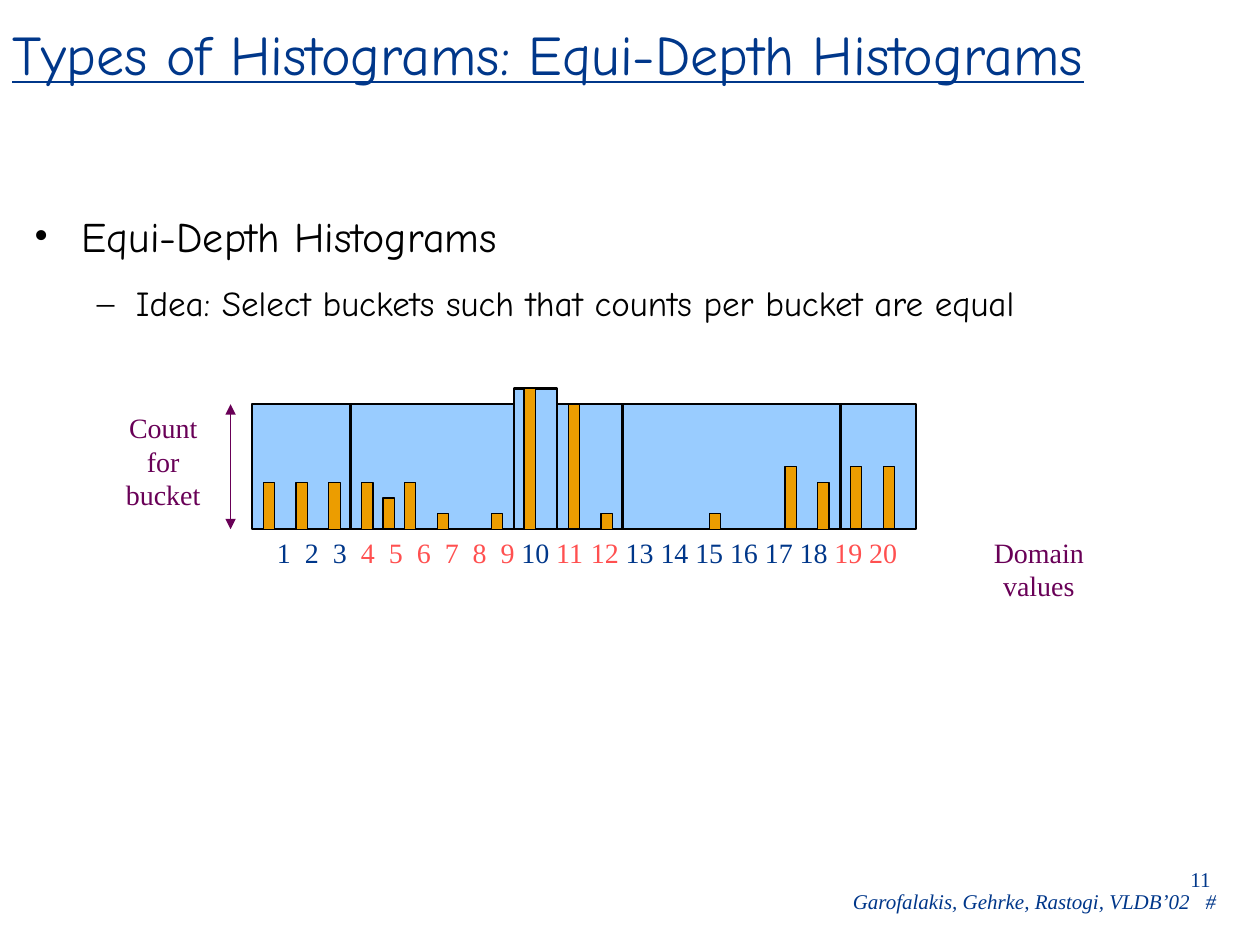
from dataclasses import dataclass

from lxml.etree import SubElement
from pptx import Presentation
from pptx.dml.color import RGBColor
from pptx.enum.shapes import MSO_CONNECTOR, MSO_SHAPE
from pptx.enum.text import MSO_ANCHOR, PP_ALIGN
from pptx.oxml.ns import qn
from pptx.util import Inches, Pt

NAVY, PLUM, CORAL, BLACK = "00378A", "690057", "FF5050", "000000"
SKY, GOLD = "99CCFF", "EC9D00"
SERIF, HAND = "Times New Roman", "Comic Neue"
BASE, UNIT = 4.2, 0.124  # axis height on the slide, height of one count
BAR_WIDTH = 0.09


@dataclass
class Column:
    left: float
    width: float
    count: int


@dataclass
class Style:
    size: float
    color: str
    font: str = SERIF
    italic: bool = False
    underline: bool = False


@dataclass
class Bullet:
    text: str
    mark: str
    margin: float
    hang: float
    before: float
    size: float


EDGES = [2, 2.78, 4.08, 4.42, 4.94, 6.67, 7.27]
DEPTHS = [8, 8, 9, 8, 8, 8]
BUCKETS = [Column(a, b - a, n) for a, b, n in zip(EDGES, EDGES[1:], DEPTHS)]

BARS = [Column(left, BAR_WIDTH, count) for left, count in [
    (2.09, 3), (2.35, 3), (2.61, 3), (2.87, 3), (3.04, 2), (3.21, 3),
    (3.47, 1), (3.9, 1), (4.16, 9), (4.51, 8), (4.77, 1), (5.63, 1),
    (6.23, 4), (6.49, 3), (6.75, 4), (7.01, 4)]]

BULLETS = [
    Bullet("Equi-Depth Histograms", "•", 0.38, 0.38, 0, 24),
    Bullet("Idea: Select buckets such that counts per bucket are equal",
           "–", 0.81, 0.31, 5, 20),
]

# First and last domain value of each colour group on the axis
GROUPS = [(1, 3, NAVY), (4, 9, CORAL), (10, 10, NAVY),
          (11, 12, CORAL), (13, 18, NAVY), (19, 20, CORAL)]


def rgb(code: str) -> RGBColor:
    return RGBColor.from_string(code)


def paint(run, style: Style) -> None:
    font = run.font
    font.name, font.size = style.font, Pt(style.size)
    font.color.rgb = rgb(style.color)
    font.italic, font.underline = style.italic, style.underline


def add_box(slide, left: float, top: float, width: float, height: float):
    box = slide.shapes.add_textbox(
        Inches(left), Inches(top), Inches(width), Inches(height))
    box.text_frame.word_wrap = True
    return box.text_frame


def add_text(slide, place: tuple, text: str, style: Style,
             align=PP_ALIGN.LEFT):
    frame = add_box(slide, *place)
    frame.text = text
    for para in frame.paragraphs:
        para.alignment = align
        for run in para.runs:
            paint(run, style)
    return frame


def add_tabs(para, stops: list[float]) -> None:
    tabs = SubElement(para._p.get_or_add_pPr(), qn("a:tabLst"))
    for stop in stops:
        SubElement(tabs, qn("a:tab"), pos=str(Inches(stop)), algn="l")


def add_column(slide, col: Column, fill: str, line: float) -> None:
    """Stand a rectangle on the axis, as high as its count."""
    height = col.count * UNIT
    shape = slide.shapes.add_shape(
        MSO_SHAPE.RECTANGLE, Inches(col.left), Inches(BASE - height),
        Inches(col.width), Inches(height))
    shape.shadow.inherit = False
    shape.fill.solid()
    shape.fill.fore_color.rgb = rgb(fill)
    shape.line.color.rgb = rgb(BLACK)
    shape.line.width = Pt(line)


def add_arrow(slide, x: float, low: float, high: float) -> None:
    arrow = slide.shapes.add_connector(
        MSO_CONNECTOR.STRAIGHT, Inches(x), Inches(low), Inches(x), Inches(high))
    arrow.line.color.rgb = rgb(PLUM)
    arrow.line.width = Pt(0.75)
    line = arrow.line._get_or_add_ln()
    for end in ("a:headEnd", "a:tailEnd"):
        SubElement(line, qn(end), type="triangle")
    SubElement(arrow._element.spPr, qn("a:effectLst"))


def add_bullets(slide) -> None:
    frame = add_box(slide, 0.17, 1.5, 9.5, 1.3)
    for i, item in enumerate(BULLETS):
        para = frame.add_paragraph() if i else frame.paragraphs[0]
        para.text = item.text
        para.level = i
        props = para._p.get_or_add_pPr()
        props.set("marL", str(Inches(item.margin)))
        props.set("indent", str(-Inches(item.hang)))
        tint = SubElement(props, qn("a:buClr"))
        SubElement(tint, qn("a:srgbClr"), val=BLACK)
        SubElement(props, qn("a:buFont"), typeface=SERIF)
        SubElement(props, qn("a:buChar"), char=item.mark)
        para.line_spacing = 1.3
        para.space_before = Pt(item.before)
        paint(para.runs[0], Style(item.size, BLACK, HAND))


def add_axis(slide) -> None:
    """Write the domain values, each at its own tab stop."""
    para = add_box(slide, 2.1, BASE, 5.13, 0.37).paragraphs[0]
    add_tabs(para, [0.222 * n for n in range(1, 9)]
             + [1.94 + 0.276 * n for n in range(11)])
    for first, last, color in GROUPS:
        run = para.add_run()
        values = "\t".join(str(n) for n in range(first, last + 1))
        run.text = values if first == 1 else "\t" + values
        paint(run, Style(16, color))


def main() -> None:
    deck = Presentation()
    deck.slide_width, deck.slide_height = Inches(10), Inches(7.5)
    slide = deck.slides.add_slide(deck.slide_layouts[6])

    add_text(slide, (9.35, 6.83, 0.6, 0.3), "11", Style(12, NAVY))
    credit = add_text(slide, (6.67, 7, 3.09, 0.3),
                      "Garofalakis, Gehrke, Rastogi, VLDB’02\t#",
                      Style(12, NAVY, italic=True))
    add_tabs(credit.paragraphs[0], [2.8])

    title = add_text(slide, (0, 0, 9.83, 0.92),
                     "Types of Histograms: Equi-Depth Histograms",
                     Style(32, NAVY, HAND, underline=True))
    title.vertical_anchor = MSO_ANCHOR.MIDDLE
    title.paragraphs[0].line_spacing = 0.85
    add_bullets(slide)

    for bucket in BUCKETS:
        add_column(slide, bucket, SKY, 1.5)
    label = Style(16, PLUM)
    add_text(slide, (0.77, 3.21, 1.05, 0.64), "Count for\nbucket", label,
             PP_ALIGN.CENTER)
    add_arrow(slide, 1.83, BASE, BASE - 8 * UNIT)
    add_text(slide, (7.48, BASE, 1.53, 0.37), "Domain values", label,
             PP_ALIGN.CENTER)
    add_axis(slide)
    for bar in BARS:
        add_column(slide, bar, GOLD, 0.75)

    deck.save("out.pptx")


if __name__ == "__main__":
    main()
